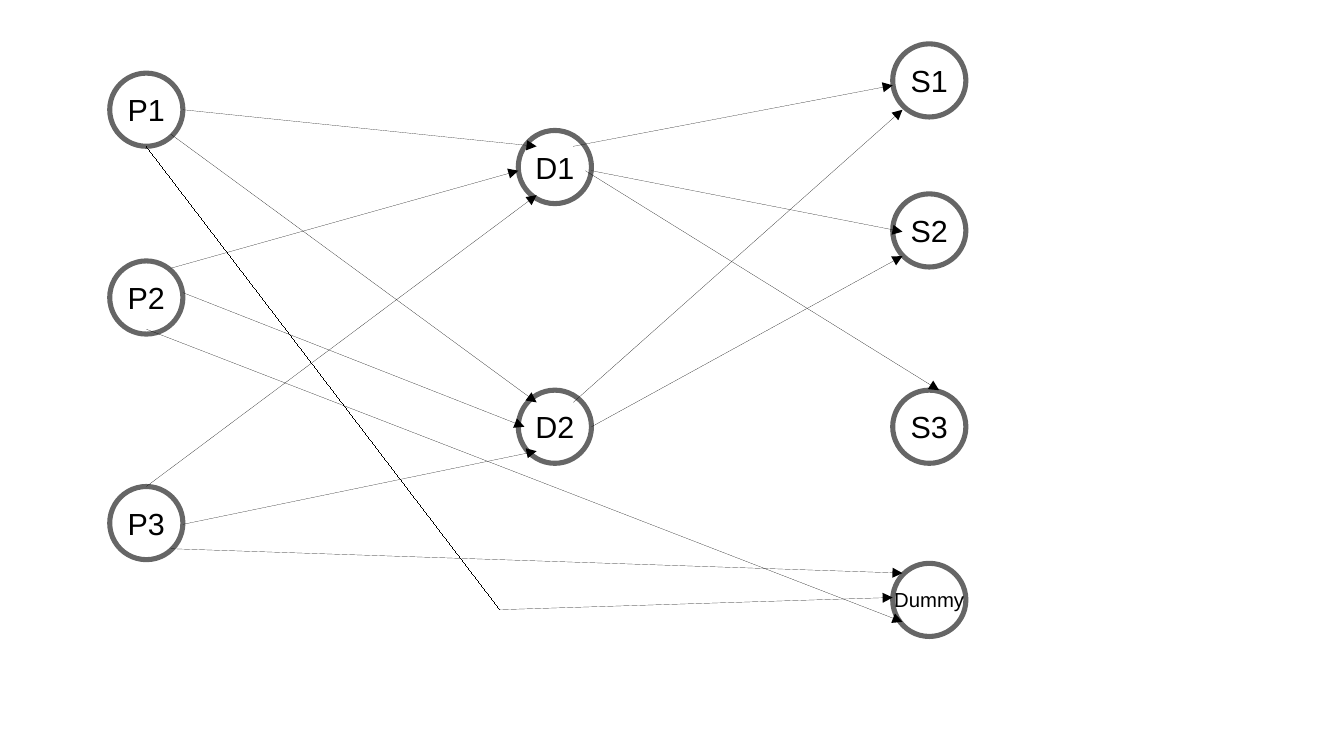
from dataclasses import dataclass

from lxml import etree
from pptx import Presentation
from pptx.dml.color import RGBColor
from pptx.enum.shapes import MSO_CONNECTOR, MSO_SHAPE
from pptx.enum.text import MSO_ANCHOR, PP_ALIGN
from pptx.oxml.ns import qn
from pptx.util import Inches, Pt

OVAL = MSO_SHAPE.OVAL
STRAIGHT = MSO_CONNECTOR.STRAIGHT
MIDDLE = MSO_ANCHOR.MIDDLE
CENTER = PP_ALIGN.CENTER


@dataclass(frozen=True)
class Theme:
    font: str = "Arial"
    ink: RGBColor = RGBColor(0, 0, 0)
    text: int = 18
    small: int = 12
    ring: int = 3
    hair: float = 0.01
    alpha: int = 60


THEME = Theme()
SIZE = 0.6

COLUMNS = [
    (0.9, [("P1", 0.6), ("P2", 2.14), ("P3", 3.99)]),
    (4.25, [("D1", 1.07), ("D2", 3.2)]),
    (7.32, [("S1", 0.36), ("S2", 1.59), ("S3", 3.2), ("Dummy", 4.62)]),
]

ROUTES = [
    [(1.5, 0.9), (4.4, 1.2)],
    [(1.4, 1.1), (4.4, 3.3)],
    [(1.4, 2.2), (4.25, 1.4)],
    [(1.5, 2.4), (4.3, 3.5)],
    [(1.2, 3.99), (4.4, 1.6)],
    [(1.5, 4.3), (4.4, 3.7)],
    [(4.7, 1.2), (7.32, 0.7)],
    [(4.85, 1.4), (7.4, 1.9)],
    [(4.8, 1.4), (7.7, 3.2)],
    [(4.7, 3.3), (7.4, 0.9)],
    [(4.85, 3.5), (7.4, 2.1)],
    [(1.2, 1.2), (4.1, 5), (7.32, 4.9)],
    [(1.4, 4.5), (7.4, 4.7)],
    [(1.2, 2.7), (7.4, 5.1)],
]


def add_node(slide, name, left, top):
    node = slide.shapes.add_shape(
        OVAL, Inches(left), Inches(top), Inches(SIZE), Inches(SIZE)
    )
    node.shadow.inherit = False
    node.fill.background()
    node.line.color.rgb = THEME.ink
    node.line.width = Pt(THEME.ring)
    color = node.line._get_or_add_ln().find(".//" + qn("a:srgbClr"))
    etree.SubElement(color, qn("a:alpha"), val=str(THEME.alpha * 1000))

    frame = node.text_frame
    frame.word_wrap = False
    frame.vertical_anchor = MIDDLE
    frame.margin_left = frame.margin_right = Inches(0.12)
    frame.margin_top = frame.margin_bottom = Inches(0.07)
    para = frame.paragraphs[0]
    para.alignment = CENTER
    run = para.add_run()
    run.text = name
    run.font.name = THEME.font
    run.font.size = Pt(THEME.text if len(name) == 2 else THEME.small)
    run.font.color.rgb = THEME.ink


def add_line(slide, start, end, arrow):
    points = [Inches(value) for value in start + end]
    line = slide.shapes.add_connector(STRAIGHT, *points)
    line.line.color.rgb = THEME.ink
    line.line.width = Pt(THEME.hair)
    if arrow:
        edge = line.line._get_or_add_ln()
        etree.SubElement(edge, qn("a:tailEnd"), type="triangle")
    etree.SubElement(line._element.spPr, qn("a:effectLst"))


def main():
    deck = Presentation()
    deck.slide_width = Inches(11.02)
    deck.slide_height = Inches(6.2)
    slide = deck.slides.add_slide(deck.slide_layouts[6])
    for left, nodes in COLUMNS:
        for name, top in nodes:
            add_node(slide, name, left, top)
    for route in ROUTES:
        for start, end in zip(route, route[1:]):
            add_line(slide, start, end, end == route[-1])
    deck.save("out.pptx")


if __name__ == "__main__":
    main()
